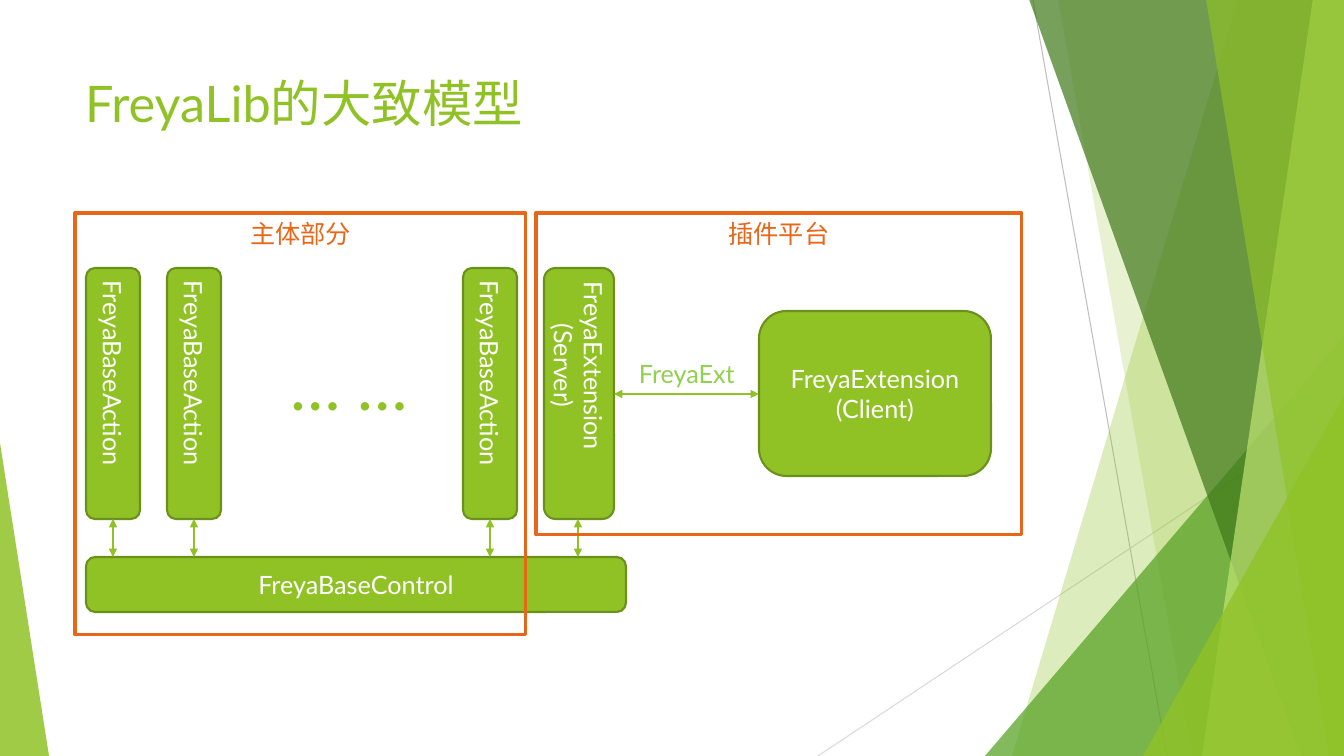
from typing import NamedTuple, Optional

from lxml.etree import SubElement
from pptx import Presentation
from pptx.dml.color import RGBColor
from pptx.enum.shapes import MSO_CONNECTOR, MSO_SHAPE as Shape
from pptx.enum.text import MSO_ANCHOR as Anchor, PP_ALIGN as Align
from pptx.oxml.ns import qn
from pptx.util import Emu, Pt

SCALE = 914400 / 100.8
WIDTH, HEIGHT = 1344, 756
FONT = "Lato"

GREEN = RGBColor(0x90, 0xC2, 0x26)
LEAF = RGBColor(0x54, 0xA0, 0x21)
FOREST = RGBColor(0x3F, 0x78, 0x19)
PALE = RGBColor(0xC0, 0xE4, 0x74)
BORDER = RGBColor(0x6B, 0x90, 0x1C)
LABEL = RGBColor(0x92, 0xD0, 0x50)
ORANGE = RGBColor(0xE7, 0x66, 0x18)
WHITE = RGBColor(0xFF, 0xFF, 0xFF)
GRAY = RGBColor(0xBF, 0xBF, 0xBF)
LIGHT_GRAY = RGBColor(0xD9, 0xD9, 0xD9)


class Box(NamedTuple):
    """A rectangle in pixels."""
    left: int
    top: int
    width: int
    height: int


class Band(NamedTuple):
    """A translucent strip that reaches the right edge of the slide."""
    top_left: int
    bottom_left: int
    color: RGBColor
    opacity: int


class Wedge(NamedTuple):
    """A translucent triangle with its apex at one end of its top side."""
    box: Box
    apex: int
    color: RGBColor
    opacity: int


class Block(NamedTuple):
    """A rounded box of the model."""
    text: str
    box: Box
    vertical: bool = False
    fill: RGBColor = GREEN
    border: Optional[RGBColor] = BORDER
    color: RGBColor = WHITE
    size: int = 18


class Frame(NamedTuple):
    """An outlined region of the model with a heading."""
    text: str
    box: Box


class Line(NamedTuple):
    """A straight line between two points in pixels."""
    start: tuple[int, int]
    end: tuple[int, int]
    color: RGBColor = GREEN
    width: float = 1
    arrows: bool = True


BACK_LINES = [
    Line((1033, 0), (1167, HEIGHT), GRAY, 0.75, False),
    Line((WIDTH, 406), (818, HEIGHT), LIGHT_GRAY, 0.75, False),
]
DECORATION = [
    Band(1238, 1012, GREEN, 30),
    Band(1058, 1192, GREEN, 20),
    Wedge(Box(985, 336, 359, 420), 1, LEAF, 72),
    Band(1029, 1301, FOREST, 70),
    Band(1313, 1202, PALE, 70),
    Band(1206, 1329, GREEN, 65),
    Wedge(Box(1143, 396, 201, 360), 1, GREEN, 80),
    Wedge(Box(0, 443, 49, 313), 0, GREEN, 85),
]
COLUMN_TOP, COLUMN_HEIGHT, CONTROL_TOP = 268, 251, 557
COLUMN_BOTTOM = COLUMN_TOP + COLUMN_HEIGHT
ACTION_WIDTH = 54
ACTION_LEFTS = [86, 167, 463]
BLOCKS = [
    Block("FreyaBaseControl", Box(86, CONTROL_TOP, 540, 55)),
    *[Block("FreyaBaseAction", Box(left, COLUMN_TOP, ACTION_WIDTH, COLUMN_HEIGHT), True)
      for left in ACTION_LEFTS],
    Block("… …", Box(256, 356, 186, 56), fill=WHITE, border=None, color=GREEN, size=48),
    Block("FreyaExtension\n(Server)", Box(544, COLUMN_TOP, 70, COLUMN_HEIGHT), True),
    Block("FreyaExtension\n(Client)", Box(759, 311, 232, 165)),
]
ARROW_CENTERS = [left + ACTION_WIDTH // 2 for left in ACTION_LEFTS] + [578]
ARROWS = [Line((x, COLUMN_BOTTOM), (x, CONTROL_TOP)) for x in ARROW_CENTERS]
ARROWS.append(Line((614, 394), (759, 394)))
FRAMES = [
    Frame("主体部分", Box(75, 213, 451, 422)),
    Frame("插件平台", Box(536, 213, 486, 322)),
]


def px(value: float) -> Emu:
    """Turn pixels into EMU."""
    return Emu(round(value * SCALE))


def write(shape, text: str, *, color: RGBColor, size: int = 18, align=Align.CENTER,
          anchor=Anchor.MIDDLE, wrap: bool = True, vertical: bool = False) -> None:
    """Put formatted text into a shape, one paragraph a line."""
    frame = shape.text_frame
    frame.text = text
    frame.word_wrap = wrap
    frame.vertical_anchor = anchor
    if vertical:
        frame._txBody.bodyPr.set("vert", "eaVert")
    for paragraph in frame.paragraphs:
        paragraph.alignment = align
        font = paragraph.runs[0].font
        font.name, font.size, font.bold = FONT, Pt(size), False
        font.color.rgb = color


def paint(shape, fill: Optional[RGBColor], border: Optional[RGBColor] = None,
          border_width: float = 1.5, opacity: int = 100) -> None:
    """Set fill, opacity and border of a shape, without a shadow."""
    shape.shadow.inherit = False
    if fill is None:
        shape.fill.background()
    else:
        shape.fill.solid()
        shape.fill.fore_color.rgb = fill
        if opacity < 100:
            color = shape._element.spPr.find(qn("a:solidFill"))[0]
            SubElement(color, qn("a:alpha"), val=str(opacity * 1000))
    if border is None:
        shape.line.fill.background()
    else:
        shape.line.color.rgb = border
        shape.line.width = Pt(border_width)


def add_preset(slide, kind: Shape, box: Box):
    """Add a preset shape at a pixel box."""
    return slide.shapes.add_shape(kind, *map(px, box))


def add_line(slide, line: Line) -> None:
    """Draw a line, with arrowheads at both ends if asked."""
    connector = slide.shapes.add_connector(
        MSO_CONNECTOR.STRAIGHT, *map(px, line.start + line.end))
    connector.line.color.rgb = line.color
    connector.line.width = Pt(line.width)
    properties = connector._element.spPr
    if line.arrows:
        for end in ("a:headEnd", "a:tailEnd"):
            SubElement(properties.find(qn("a:ln")), qn(end), type="triangle")
    SubElement(properties, qn("a:effectLst"))


def add_band(slide, band: Band) -> None:
    """Draw a strip from the top to the bottom of the slide."""
    builder = slide.shapes.build_freeform(band.top_left, -1, scale=SCALE)
    builder.add_line_segments(
        [(WIDTH, -1), (WIDTH, HEIGHT), (band.bottom_left, HEIGHT)], close=True)
    paint(builder.convert_to_shape(), band.color, opacity=band.opacity)


def add_wedge(slide, wedge: Wedge) -> None:
    """Draw a right-angled triangle."""
    shape = add_preset(slide, Shape.ISOSCELES_TRIANGLE, wedge.box)
    shape.adjustments[0] = wedge.apex
    paint(shape, wedge.color, opacity=wedge.opacity)


def add_block(slide, block: Block) -> None:
    """Draw a rounded box with its text."""
    shape = add_preset(slide, Shape.ROUNDED_RECTANGLE, block.box)
    paint(shape, block.fill, block.border)
    write(shape, block.text, color=block.color, size=block.size, vertical=block.vertical)


def add_frame(slide, frame: Frame) -> None:
    """Draw an outlined region with its heading at the top."""
    shape = add_preset(slide, Shape.RECTANGLE, frame.box)
    paint(shape, None, ORANGE, 2.25)
    write(shape, frame.text, color=ORANGE, anchor=Anchor.TOP)


presentation = Presentation()
presentation.slide_width, presentation.slide_height = px(WIDTH), px(HEIGHT)
slide = presentation.slides.add_slide(presentation.slide_layouts[5])

title = slide.shapes.title
title.left, title.top, title.width, title.height = map(px, Box(75, 67, 948, 146))
write(title, "FreyaLib的大致模型", color=GREEN, size=36, align=Align.LEFT, anchor=Anchor.TOP)

for back_line in BACK_LINES:
    add_line(slide, back_line)
for item in DECORATION:
    (add_band if isinstance(item, Band) else add_wedge)(slide, item)
for block in BLOCKS:
    add_block(slide, block)
for arrow in ARROWS:
    add_line(slide, arrow)
extension_label = slide.shapes.add_textbox(*map(px, Box(629, 353, 120, 40)))
write(extension_label, "FreyaExt", color=LABEL, align=Align.LEFT, anchor=Anchor.TOP, wrap=False)
for frame in FRAMES:
    add_frame(slide, frame)

presentation.save("out.pptx")
